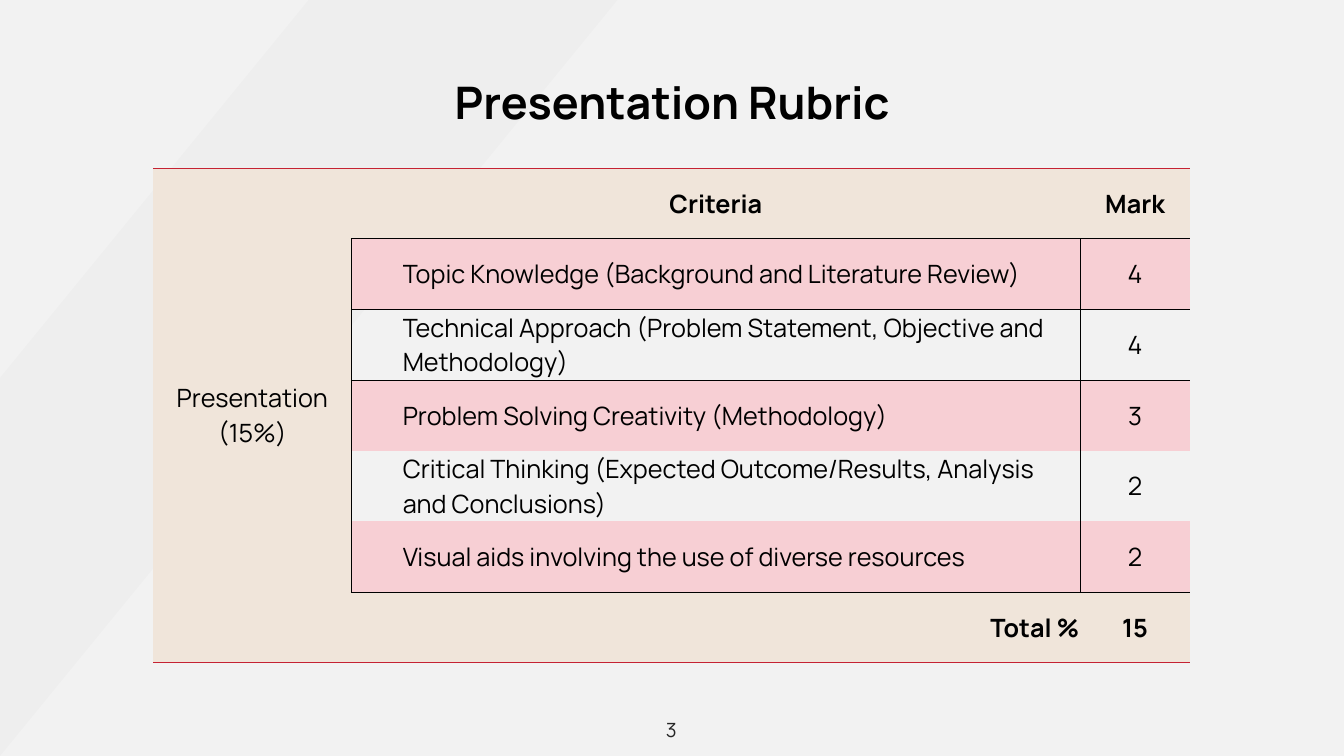
import lxml.etree
import pptx
import pptx.dml.color
import pptx.enum.shapes
import pptx.enum.text
import pptx.oxml.ns
import pptx.util

Cm = pptx.util.Cm
Pt = pptx.util.Pt
ALIGN = pptx.enum.text.PP_ALIGN
MIDDLE = pptx.enum.text.MSO_ANCHOR.MIDDLE
qn = pptx.oxml.ns.qn

FONT = "Manrope"
COLORS = {"background": "F2F2F2", "stripe": "BFBFBF", "text": "000000", "number": "262626",
          "line": "000000", "accent": "C52233", "beige": "F0E5DA", "pink": "F7CFD4"}
TITLE = "Presentation Rubric"
SLIDE_NUMBER = "3"
SECTION = ["Presentation", "(15%)"]
HEADER = ("Criteria", "Mark")
CRITERIA = [
    ("Topic Knowledge (Background and Literature Review)", "4"),
    ("Technical Approach (Problem Statement, Objective and Methodology)", "4"),
    ("Problem Solving Creativity (Methodology)", "3"),
    ("Critical Thinking (Expected Outcome/Results, Analysis and Conclusions)", "2"),
    ("Visual aids involving the use of diverse resources", "2"),
]
TOTAL = ("Total %", "15")
ROWS = [HEADER, *CRITERIA, TOTAL]
LAST = len(ROWS) - 1
COLUMN_WIDTHS = (5.0, 18.36, 2.77)
ROW_HEIGHT = 1.78
NO_GRID_STYLE = "{2D5ABB26-0587-4C30-8999-92F81FD0307C}"
ROW_LINES = {0: "accent", 1: "line", 2: "line", LAST: "line", LAST + 1: "accent"}


def rgb(name):
    return pptx.dml.color.RGBColor.from_string(COLORS[name])


def write(frame, lines, size, align, bold=False, color="text"):
    frame.word_wrap = True
    paragraph = frame.paragraphs[0]
    paragraph.alignment = align
    for index, line in enumerate(lines):
        if index:
            paragraph.add_line_break()
        run = paragraph.add_run()
        run.text = line
        run.font.name = FONT
        run.font.size = Pt(size)
        run.font.bold = bold
        run.font.color.rgb = rgb(color)
    return paragraph


def add_label(slide, box, text, size, bold=False, color="text"):
    frame = slide.shapes.add_textbox(*map(Cm, box)).text_frame
    frame.vertical_anchor = MIDDLE
    return write(frame, [text], size, ALIGN.CENTER, bold, color)


def cell_lines(row, column):
    lines = {}
    if column and 0 < row < LAST:
        lines["lnL"] = "line"
        if column == 1:
            lines["lnR"] = "line"
    last_row = row if column else LAST
    for side, edge in (("lnT", row), ("lnB", last_row + 1)):
        color = ROW_LINES.get(edge)
        if color and (column or color == "accent"):
            lines[side] = color
    return lines


def style_cell(cell, fill, lines):
    properties = cell._tc.get_or_add_tcPr()
    for side, color in lines.items():
        line = lxml.etree.SubElement(properties, qn(f"a:{side}"), w=str(Pt(1)))
        solid = lxml.etree.SubElement(line, qn("a:solidFill"))
        lxml.etree.SubElement(solid, qn("a:srgbClr"), val=COLORS[color])
    if fill:
        cell.fill.solid()
        cell.fill.fore_color.rgb = rgb(fill)
    else:
        cell.fill.background()
    cell.vertical_anchor = MIDDLE
    cell.margin_left = cell.margin_right = Cm(0.02)
    cell.margin_top = cell.margin_bottom = Cm(0.02)


def add_stripe(slide):
    stripe = slide.shapes.add_shape(pptx.enum.shapes.MSO_SHAPE.DIAGONAL_STRIPE,
                                    0, 0, Cm(15.56), Cm(19.05))
    stripe.shadow.inherit = False
    stripe.line.fill.background()
    stripe.fill.solid()
    stripe.fill.fore_color.rgb = rgb("stripe")
    color = stripe.fill._xPr.find(".//" + qn("a:srgbClr"))
    lxml.etree.SubElement(color, qn("a:alpha"), val="8000")


def add_rubric(slide):
    frame = slide.shapes.add_table(len(ROWS), len(COLUMN_WIDTHS), Cm(3.86), Cm(4.24),
                                   Cm(sum(COLUMN_WIDTHS)), Cm(ROW_HEIGHT * len(ROWS)))
    table = frame.table
    table.first_row = table.horz_banding = False
    table._tbl.tblPr.find(qn("a:tableStyleId")).text = NO_GRID_STYLE
    for column, width in zip(table.columns, COLUMN_WIDTHS):
        column.width = Cm(width)
    for row in table.rows:
        row.height = Cm(ROW_HEIGHT)

    section = table.cell(0, 0)
    section.merge(table.cell(LAST, 0))
    style_cell(section, "beige", cell_lines(0, 0))
    write(section.text_frame, SECTION, 18, ALIGN.CENTER)

    for row, texts in enumerate(ROWS):
        outer = row in (0, LAST)
        fill = "beige" if outer else "pink" if row % 2 else None
        label_align = {0: ALIGN.CENTER, LAST: ALIGN.RIGHT}.get(row, ALIGN.LEFT)
        for column, text in enumerate(texts, 1):
            cell = table.cell(row, column)
            style_cell(cell, fill, cell_lines(row, column))
            align = label_align if column == 1 else ALIGN.CENTER
            paragraph = write(cell.text_frame, [text], 18, align, outer)
            if align == ALIGN.LEFT:
                paragraph.level = 1
                paragraph._p.get_or_add_pPr().set("marL", str(Cm(1.27)))
                paragraph._p.get_or_add_pPr().set("indent", "0")


def main():
    """Build the presentation rubric slide."""
    presentation = pptx.Presentation()
    presentation.slide_width = Cm(33.87)
    presentation.slide_height = Cm(19.05)
    slide = presentation.slides.add_slide(presentation.slide_layouts[6])
    slide.background.fill.solid()
    slide.background.fill.fore_color.rgb = rgb("background")
    add_stripe(slide)
    title = add_label(slide, (2.34, 0.81, 29.21, 3.68), TITLE, 32, bold=True)
    title.line_spacing = 0.9
    add_label(slide, (13.11, 17.88, 7.62, 1.02), SLIDE_NUMBER, 14, color="number")
    add_rubric(slide)
    presentation.save("out.pptx")


if __name__ == "__main__":
    main()
